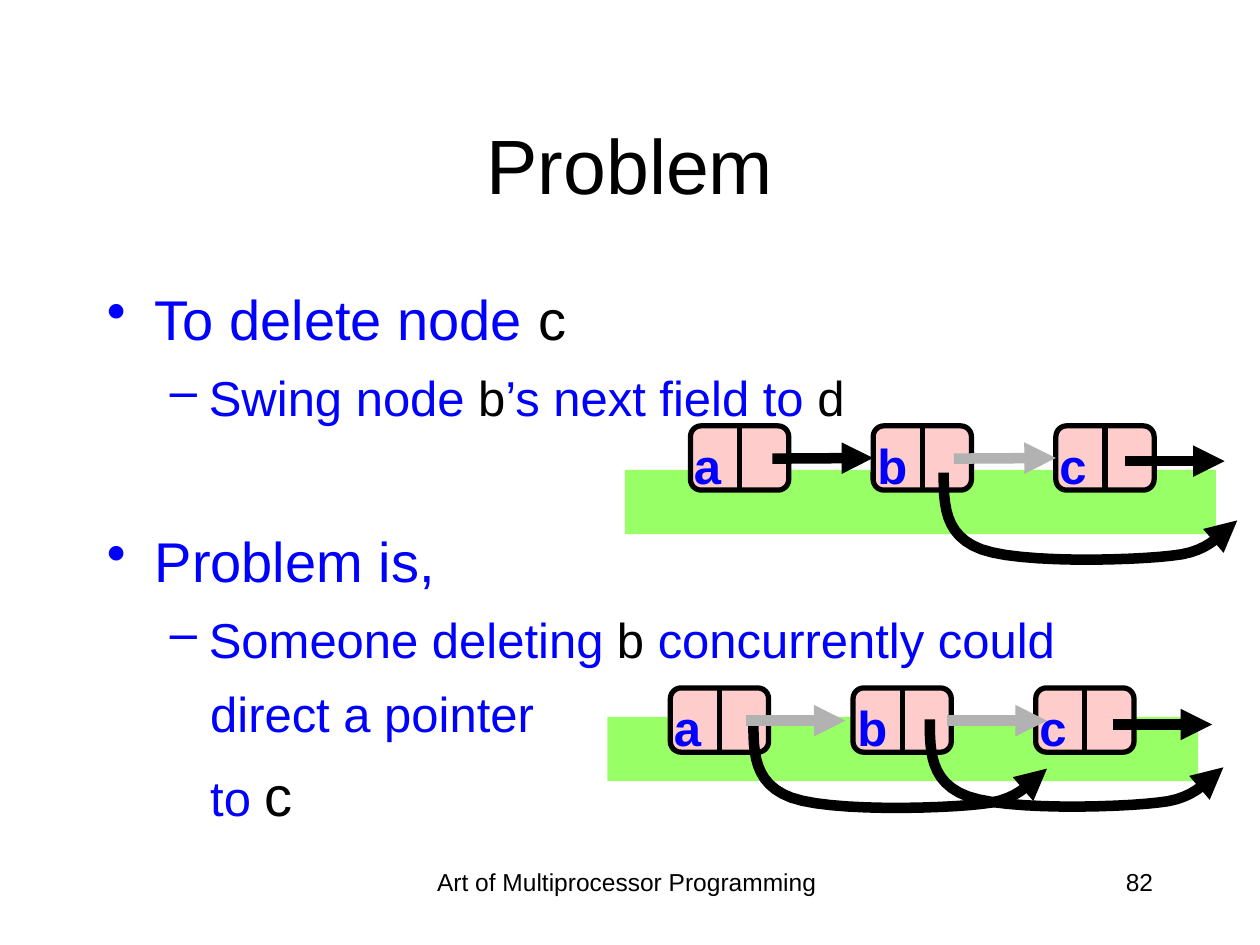
from lxml.etree import SubElement
from pptx import Presentation
from pptx.dml.color import RGBColor
from pptx.enum.shapes import MSO_CONNECTOR, MSO_SHAPE
from pptx.enum.text import MSO_ANCHOR, MSO_AUTO_SIZE, PP_ALIGN
from pptx.oxml.ns import qn
from pptx.util import Inches, Pt

BLACK = RGBColor(0x00, 0x00, 0x00)
BLUE = RGBColor(0x00, 0x00, 0xFF)
GREEN = RGBColor(0x99, 0xFF, 0x66)
PINK = RGBColor(0xFF, 0xCC, 0xCC)
GRAY = RGBColor(0xB2, 0xB2, 0xB2)

FONT = "Arial"
COLUMNS, ROWS = 100, 75
NODE_W, NODE_H, NODE_STEP = 7.8, 5.1, 14.5
ARROW_LENGTH = 7.9
LABELS = {"a": 4.1, "b": 4.4, "c": 4.1}

# Cubic Bézier control points of a pointer, relative to its start
POINTER = [(0, 0), (0, 2.5), (0, 5), (3, 6.1), (6, 7.2), (14.8, 7),
           (18.1, 6.6), (21.5, 6.3), (22.2, 4.4), (23.3, 3.8)]
CURVE_STEPS = 12

# Each paragraph: (bullet, left margin, hanging indent, space before, runs)
BODY = [
    ("•", 3.8, 3.8, 0, [("To delete node ", 32, BLUE), ("c", 32, BLACK)]),
    ("–", 8.1, 3.1, 9, [("Swing node ", 28, BLUE), ("b", 28, BLACK),
                        ("’s next field to ", 28, BLUE), ("d", 28, BLACK)]),
    ("•", 3.8, 3.8, 57, [("Problem is,", 32, BLUE)]),
    ("–", 8.1, 3.1, 9, [("Someone deleting ", 28, BLUE), ("b", 28, BLACK),
                        (" concurrently could", 28, BLUE)]),
    (None, 8.2, 0, 9, [("direct a pointer", 28, BLUE)]),
    (None, 8.2, 0, 10, [("to ", 28, BLUE), ("c", 32, BLACK)]),
]


def cells(n):
    """Length of n grid cells; a cell is a tenth of an inch."""
    return round(n * Inches(0.1))


def add_run(p, text, size, color, bold=False):
    r = p.add_run()
    r.text = text
    r.font.name = FONT
    r.font.size = Pt(size)
    r.font.bold = bold
    r.font.color.rgb = color


def add_text(s, box, text, size=14, color=BLACK, bold=False,
             align=PP_ALIGN.CENTER, anchor=MSO_ANCHOR.TOP, wrap=True):
    tf = s.shapes.add_textbox(*map(cells, box)).text_frame
    tf.word_wrap = wrap
    tf.auto_size = MSO_AUTO_SIZE.NONE if wrap else MSO_AUTO_SIZE.SHAPE_TO_FIT_TEXT
    tf.vertical_anchor = anchor
    p = tf.paragraphs[0]
    p.alignment = align
    if text:
        add_run(p, text, size, color, bold)
    return tf


def format_bullet(p, bullet, margin, hanging):
    pPr = p._p.get_or_add_pPr()
    pPr.set("marL", str(cells(margin)))
    pPr.set("indent", str(-cells(hanging)))
    if bullet:
        color = SubElement(SubElement(pPr, qn("a:buClr")), qn("a:srgbClr"))
        color.set("val", str(BLUE))
        SubElement(pPr, qn("a:buChar")).set("char", bullet)


def add_body(s):
    tf = add_text(s, (7.5, 21.7, 85, 45), "", align=PP_ALIGN.LEFT)
    tf.margin_top = cells(0.9)
    for i, (bullet, margin, hanging, before, runs) in enumerate(BODY):
        p = tf.add_paragraph() if i else tf.paragraphs[0]
        format_bullet(p, bullet, margin, hanging)
        p.space_before = Pt(before)
        for text, size, color in runs:
            add_run(p, text, size, color)


def add_box(s, kind, box, fill):
    sp = s.shapes.add_shape(kind, *map(cells, box))
    sp.shadow.inherit = False
    sp.fill.solid()
    sp.fill.fore_color.rgb = fill
    sp.line.fill.background()
    return sp


def set_line(line, color, width):
    line.color.rgb = color
    line.width = Pt(width)


def add_arrowhead(sp):
    SubElement(sp.line._get_or_add_ln(), qn("a:tailEnd")).set("type", "triangle")


def add_line(s, x1, y1, x2, y2, color, width):
    cxn = s.shapes.add_connector(MSO_CONNECTOR.STRAIGHT, *map(cells, (x1, y1, x2, y2)))
    set_line(cxn.line, color, width)
    SubElement(cxn._element.spPr, qn("a:effectLst"))
    return cxn


def add_arrow(s, x, y, color, target=None):
    """Arrow to the right, joined to the left side of target if given."""
    cxn = add_line(s, x, y, x + ARROW_LENGTH, y, color, 6)
    add_arrowhead(cxn)
    if target is not None:
        cxn.end_connect(target, 1)


def add_node(s, x, y, label):
    node = add_box(s, MSO_SHAPE.ROUNDED_RECTANGLE, (x, y, NODE_W, NODE_H), PINK)
    set_line(node.line, BLACK, 3)
    middle = x + NODE_W / 2
    divider = add_line(s, middle, y, middle, y + NODE_H, BLACK, 3)
    divider.begin_connect(node, 0)
    divider.end_connect(node, 2)
    add_text(s, (x - 0.7, y + 0.3, LABELS[label], 5.7), label, size=28, color=BLUE,
             bold=True, align=PP_ALIGN.RIGHT, wrap=False)
    return node


def add_list(s, x, y):
    """Row of linked nodes, returned by label."""
    return {label: add_node(s, x + i * NODE_STEP, y, label)
            for i, label in enumerate(LABELS)}


def bezier(p0, p1, p2, p3, t):
    u = 1 - t
    return tuple(u**3 * a + 3 * u * u * t * b + 3 * u * t * t * c + t**3 * d
                 for a, b, c, d in zip(p0, p1, p2, p3))


def add_pointer(s, x, y):
    """Curved arrow that skips the next node."""
    points = [bezier(*POINTER[i:i + 4], k / CURVE_STEPS)
              for i in range(0, len(POINTER) - 1, 3)
              for k in range(1, CURVE_STEPS + 1)]
    builder = s.shapes.build_freeform(cells(x), cells(y))
    builder.add_line_segments([(cells(x + dx), cells(y + dy)) for dx, dy in points],
                              close=False)
    sp = builder.convert_to_shape()
    sp.shadow.inherit = False
    sp.fill.background()
    set_line(sp.line, BLACK, 6)
    add_arrowhead(sp)


def main():
    prs = Presentation()
    prs.slide_width, prs.slide_height = cells(COLUMNS), cells(ROWS)
    s = prs.slides.add_slide(prs.slide_layouts[6])

    add_text(s, (31, 68.3, 37.5, 5), "Art of Multiprocessor Programming")
    add_text(s, (71.7, 68.3, 20.8, 5), "82", align=PP_ALIGN.RIGHT)
    for x, y in [(48.2, 56.9), (49.6, 37.3)]:
        add_box(s, MSO_SHAPE.RECTANGLE, (x, y, 46.9, 5.1), GREEN)
    add_text(s, (7.5, 6.7, 85, 12.5), "Problem", size=44, anchor=MSO_ANCHOR.MIDDLE)
    add_body(s)

    nodes = add_list(s, 54.8, 33.8)
    add_pointer(s, 74.9, 37.5)
    add_arrow(s, 61.3, 36.4, BLACK, nodes["b"])
    add_arrow(s, 75.7, 36.4, GRAY, nodes["c"])
    add_arrow(s, 89.3, 36.6, BLACK)

    add_list(s, 53.2, 54.6)
    add_pointer(s, 59.8, 57.2)
    add_pointer(s, 73.8, 57.1)
    add_arrow(s, 75.2, 57.2, GRAY)
    add_arrow(s, 88.3, 57.5, BLACK)
    add_arrow(s, 59.2, 57.2, GRAY)

    prs.save("out.pptx")


if __name__ == "__main__":
    main()
